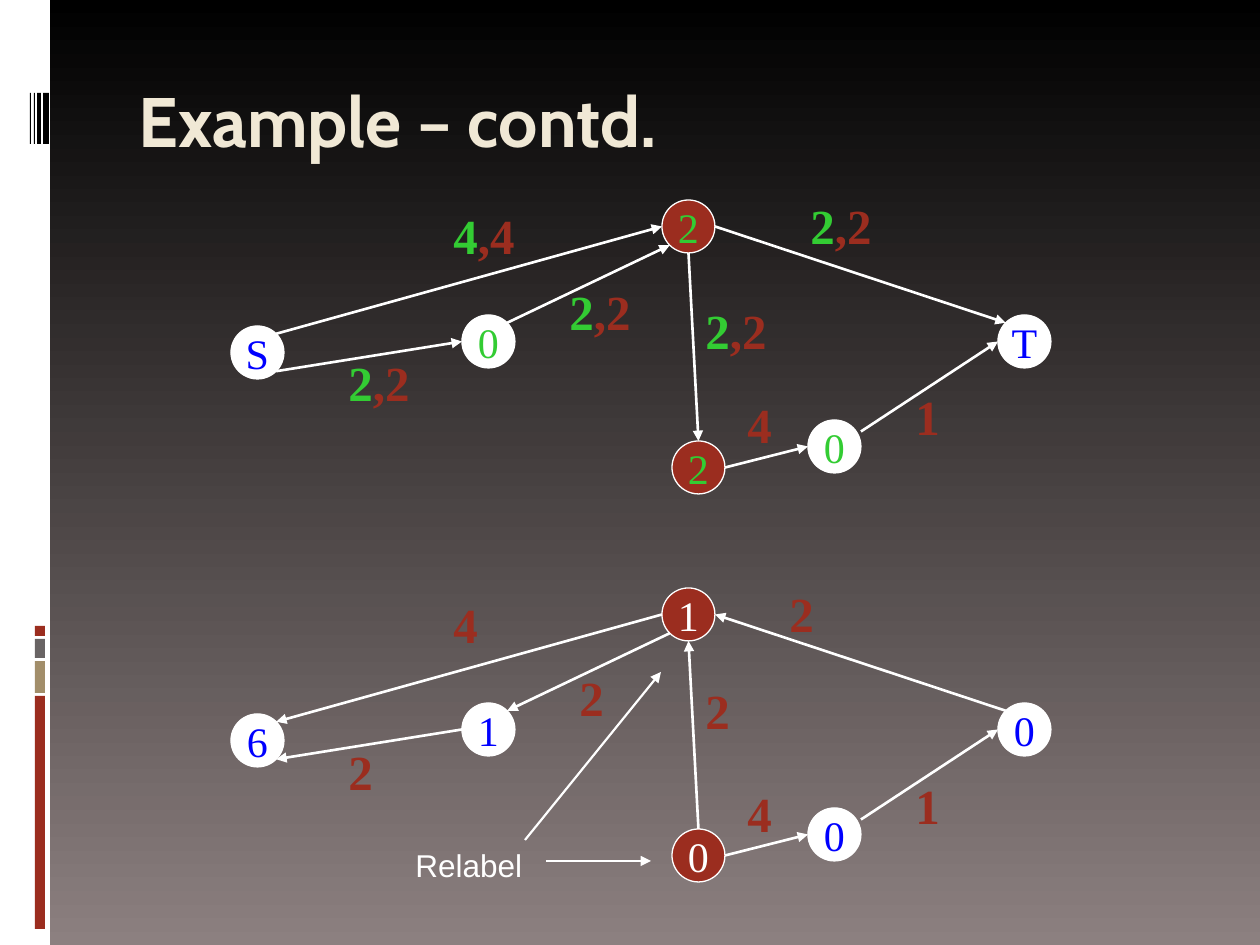
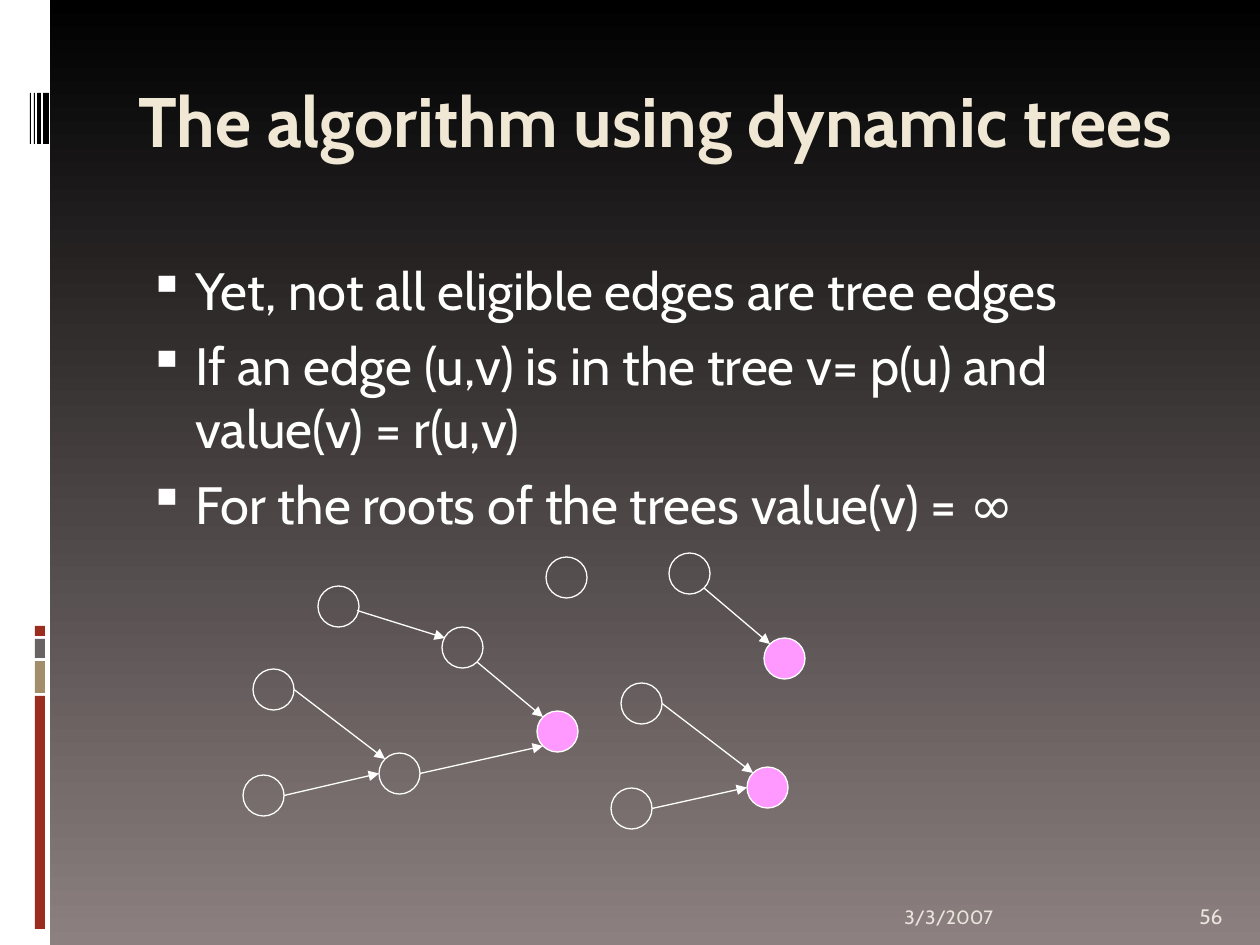
from dataclasses import dataclass
from math import cos, radians, sin

from lxml.etree import SubElement
from pptx import Presentation
from pptx.dml.color import RGBColor
from pptx.enum.shapes import MSO_CONNECTOR, MSO_SHAPE
from pptx.enum.text import MSO_ANCHOR, PP_ALIGN
from pptx.oxml.ns import qn
from pptx.util import Emu, Pt

LINE = MSO_CONNECTOR.STRAIGHT
RECT, OVAL = MSO_SHAPE.RECTANGLE, MSO_SHAPE.OVAL
TOP, MID, LOW = MSO_ANCHOR.TOP, MSO_ANCHOR.MIDDLE, MSO_ANCHOR.BOTTOM
LEFT, CENTER = PP_ALIGN.LEFT, PP_ALIGN.CENTER

SCALE = 914400 / 126
WIDE, HIGH = 1260, 945
WHITE, BLACK, RED, GREEN, BLUE = "FFFFFF", "000000", "9B2D1F", "33CC33", "0000FF"
TAN, GRAY, CREAM, PALE, PINK = "A28E6A", "696464", "F0E8D5", "E9E5DC", "FF99FF"
SKY = (BLACK, "8C8080")

HEAD = {"name": "Cabin", "size": Pt(40), "bold": True}
BODY = {"name": "Cabin", "size": Pt(30)}
DATE = {"name": "Cabin", "size": Pt(11)}
PAGE = {"name": "Cabin", "size": Pt(12)}
NODE = {"name": "Times New Roman", "size": Pt(24)}
COST = {"name": "Times New Roman", "size": Pt(28), "bold": True}
NOTE = {"name": "Arial", "size": Pt(18)}


@dataclass
class Box:
    x: int
    y: int
    w: int
    h: int
    fill: str = ""


@dataclass
class Node:
    key: str
    x: int
    y: int
    fill: str = ""
    text: str = ""
    ink: str = WHITE


@dataclass
class Edge:
    """Runs between two rim sites, counted from the top by eighths, leftwards."""
    a: str
    out: int
    b: str
    into: int
    shift: tuple[int, int] = (0, 0)
    stop: tuple[int, int] = (0, 0)
    back: bool = False


@dataclass
class Tag:
    x: int
    y: int
    text: str


BANDS = [
    Box(0, 0, 50, HIGH, WHITE),
    Box(35, 696, 10, 233, RED),
    Box(35, 661, 10, 32, TAN),
    Box(35, 639, 10, 19, GRAY),
    Box(35, 626, 10, 10, RED),
] + [Box(x, 93, w, 51, BLACK) for x, w in ((43, 6), (37, 4), (34, 1), (30, 1))]

PLACES = {"s": (231, 326), "a": (462, 315), "top": (662, 200),
          "low": (672, 441), "mid": (808, 420), "t": (998, 315)}
DROP = 388
FLOW = {"s": ("S", BLUE), "a": ("0", GREEN), "top": ("2", GREEN),
        "low": ("2", GREEN), "mid": ("0", GREEN), "t": ("T", BLUE)}
RANK = {"s": ("6", BLUE), "a": ("1", BLUE), "top": ("1", WHITE),
        "low": ("0", WHITE), "mid": ("0", BLUE), "t": ("0", BLUE)}
NET = [
    Edge("s", 7, "top", 2, back=True),
    Edge("s", 5, "a", 2, back=True),
    Edge("a", 7, "top", 3, back=True),
    Edge("top", 4, "low", 0, back=True),
    Edge("top", 6, "t", 1, back=True),
    Edge("low", 6, "mid", 2),
    Edge("mid", 6, "t", 2, shift=(0, -15)),
]
FLOWS = [
    Tag(441, 199, "4,4"), Tag(336, 346, "2,2"), Tag(557, 275, "2,2"),
    Tag(693, 294, "2,2"), Tag(798, 189, "2,2"), Tag(735, 388, "4"),
    Tag(903, 380, "1"),
]
COSTS = [
    Tag(441, 588, "4"), Tag(336, 735, "2"), Tag(567, 661, "2"),
    Tag(693, 674, "2"), Tag(777, 577, "2"), Tag(735, 777, "4"),
    Tag(903, 769, "1"),
]
HINTS = [(546, 861, 651, 861), (525, 840, 661, 672)]

POINTS = [
    "Yet, not all eligible edges are tree edges",
    "If an edge (u,v) is in the tree v= p(u) and value(v) = r(u,v)",
    "For the roots of the trees value(v) = ∞",
]
TREES = [
    Node("a", 318, 586), Node("b", 442, 627), Node("c", 253, 669),
    Node("d", 243, 775), Node("e", 379, 753), Node("f", 537, 711, PINK),
    Node("g", 669, 553), Node("h", 764, 638, PINK), Node("i", 546, 557),
    Node("j", 621, 683), Node("k", 611, 788), Node("l", 747, 767, PINK),
]
TWIGS = [
    Edge("a", 6, "b", 1, shift=(-2, 4), stop=(-3, 5)),
    Edge("b", 5, "f", 1), Edge("c", 6, "e", 1), Edge("d", 6, "e", 2),
    Edge("e", 6, "f", 3), Edge("g", 5, "h", 1), Edge("j", 6, "l", 1),
    Edge("k", 6, "l", 2),
]


def px(n: float) -> Emu:
    return Emu(round(n * SCALE))


def tint(code: str) -> RGBColor:
    return RGBColor.from_string(code)


def format(item, values: dict) -> None:
    for name, value in values.items():
        setattr(item, name, value)


def write(para, text: str, look: dict, ink: str) -> None:
    run = para.add_run()
    run.text = text
    format(run.font, look)
    run.font.color.rgb = tint(ink)


def frame(slide, box: Box, anchor=TOP, wrap: bool = True):
    """Add a text box and return its text frame."""
    text = slide.shapes.add_textbox(*map(px, (box.x, box.y, box.w, box.h))).text_frame
    format(text, {"word_wrap": wrap, "vertical_anchor": anchor})
    return text


def label(slide, box: Box, text: str, look: dict, ink: str, **how) -> None:
    write(frame(slide, box, **how).paragraphs[0], text, look, ink)


def shape(slide, kind, box: Box, rim: str = ""):
    item = slide.shapes.add_shape(kind, *map(px, (box.x, box.y, box.w, box.h)))
    item.shadow.inherit = False
    for part, code in ((item.fill, box.fill), (item.line.fill, rim)):
        if code:
            part.solid()
            part.fore_color.rgb = tint(code)
        else:
            part.background()
    return item


def arrow(slide, ends: tuple, width: float):
    link = slide.shapes.add_connector(LINE, *map(px, ends))
    link.line.width = Pt(width)
    link.line.color.rgb = tint(WHITE)
    props = link.element.spPr
    SubElement(props.find(qn("a:ln")), qn("a:tailEnd"), type="triangle")
    SubElement(props, qn("a:effectLst"))
    return link


def circle(slide, node: Node, size: int):
    item = shape(slide, OVAL, Box(node.x, node.y, size, size, node.fill), WHITE)
    item.line.width = Pt(0.75)
    if node.text:
        text = item.text_frame
        format(text, {"word_wrap": False, "vertical_anchor": MID})
        text.paragraphs[0].alignment = CENTER
        write(text.paragraphs[0], node.text, NODE, node.ink)
    return item


def graph(slide, nodes: list[Node], edges: list[Edge], size: int,
          width: float, turn: bool = False) -> None:
    """Draw circles and their arrows; turn flips the edges marked back."""
    spots = {node.key: node for node in nodes}
    drawn = {node.key: circle(slide, node, size) for node in nodes}
    for edge in edges:
        ends = [(edge.a, edge.out, edge.shift), (edge.b, edge.into, edge.stop)]
        if turn and edge.back:
            ends.reverse()
        coords = []
        for key, site, (dx, dy) in ends:
            angle, half = radians(45 * site), size / 2
            coords += [spots[key].x + half - half * sin(angle) + dx,
                       spots[key].y + half - half * cos(angle) + dy]
        link = arrow(slide, tuple(coords), width)
        joint = link.element.nvCxnSpPr.cNvCxnSpPr
        for (key, site, off), name in zip(ends, ("a:stCxn", "a:endCxn")):
            if off == (0, 0):
                SubElement(joint, qn(name), id=str(drawn[key].shape_id), idx=str(site))


def tag(slide, item: Tag) -> None:
    """Write a cost in red, with the flow before a comma in green."""
    flow, comma, cap = item.text.rpartition(",")
    para = frame(slide, Box(item.x, item.y, 95 if comma else 53, 72)).paragraphs[0]
    if flow:
        write(para, flow, COST, GREEN)
    write(para, comma + cap, COST, RED)


def bullets(slide, box: Box, lines: list[str]) -> None:
    text = frame(slide, box)
    for i, line in enumerate(lines):
        para = text.add_paragraph() if i else text.paragraphs[0]
        format(para, {"alignment": LEFT, "space_before": Pt(7 if i else 0)})
        props = para._p.get_or_add_pPr()
        props.set("marL", str(px(57)))
        props.set("indent", str(px(-47)))
        SubElement(SubElement(props, qn("a:buClr")), qn("a:srgbClr"), val=WHITE)
        SubElement(props, qn("a:buSzPct"), val="95000")
        SubElement(props, qn("a:buChar"), char="▪")
        write(para, line, BODY, WHITE)


def start(deck, title: str):
    """Add a slide with the shared backdrop, side bands and title."""
    slide = deck.slides.add_slide(deck.slide_layouts[6])
    fill = slide.background.fill
    fill.gradient()
    fill.gradient_angle = 270
    for stop, code, place in zip(fill.gradient_stops, SKY, (0, 1)):
        stop.color.rgb = tint(code)
        stop.position = place
    for band in BANDS:
        shape(slide, RECT, band)
    label(slide, Box(126, 71, 1071, 126), title, HEAD, CREAM)
    return slide


def relabel(deck) -> None:
    slide = start(deck, "Example – contd.")
    for marks, drop, turn in ((FLOW, 0, False), (RANK, DROP, True)):
        nodes = [Node(key, x, y + drop, RED if key in ("top", "low") else WHITE, *marks[key])
                 for key, (x, y) in PLACES.items()]
        graph(slide, nodes, NET, 53, 1.5, turn)
    for item in FLOWS + COSTS:
        tag(slide, item)
    label(slide, Box(403, 840, 132, 50), "Relabel", NOTE, WHITE, wrap=False)
    for hint in HINTS:
        arrow(slide, hint, 1.25)


def trees(deck) -> None:
    slide = start(deck, "The algorithm using dynamic trees")
    bullets(slide, Box(126, 252, 1071, 630), POINTS)
    label(slide, Box(892, 885, 294, 50), "3/3/2007", DATE, PALE, anchor=LOW)
    label(slide, Box(1187, 885, 63, 50), "56", PAGE, PALE, anchor=LOW)
    graph(slide, TREES, TWIGS, 41, 0.75)


def main() -> None:
    deck = Presentation()
    format(deck, {"slide_width": px(WIDE), "slide_height": px(HIGH)})
    relabel(deck)
    trees(deck)
    deck.save("out.pptx")


if __name__ == "__main__":
    main()
